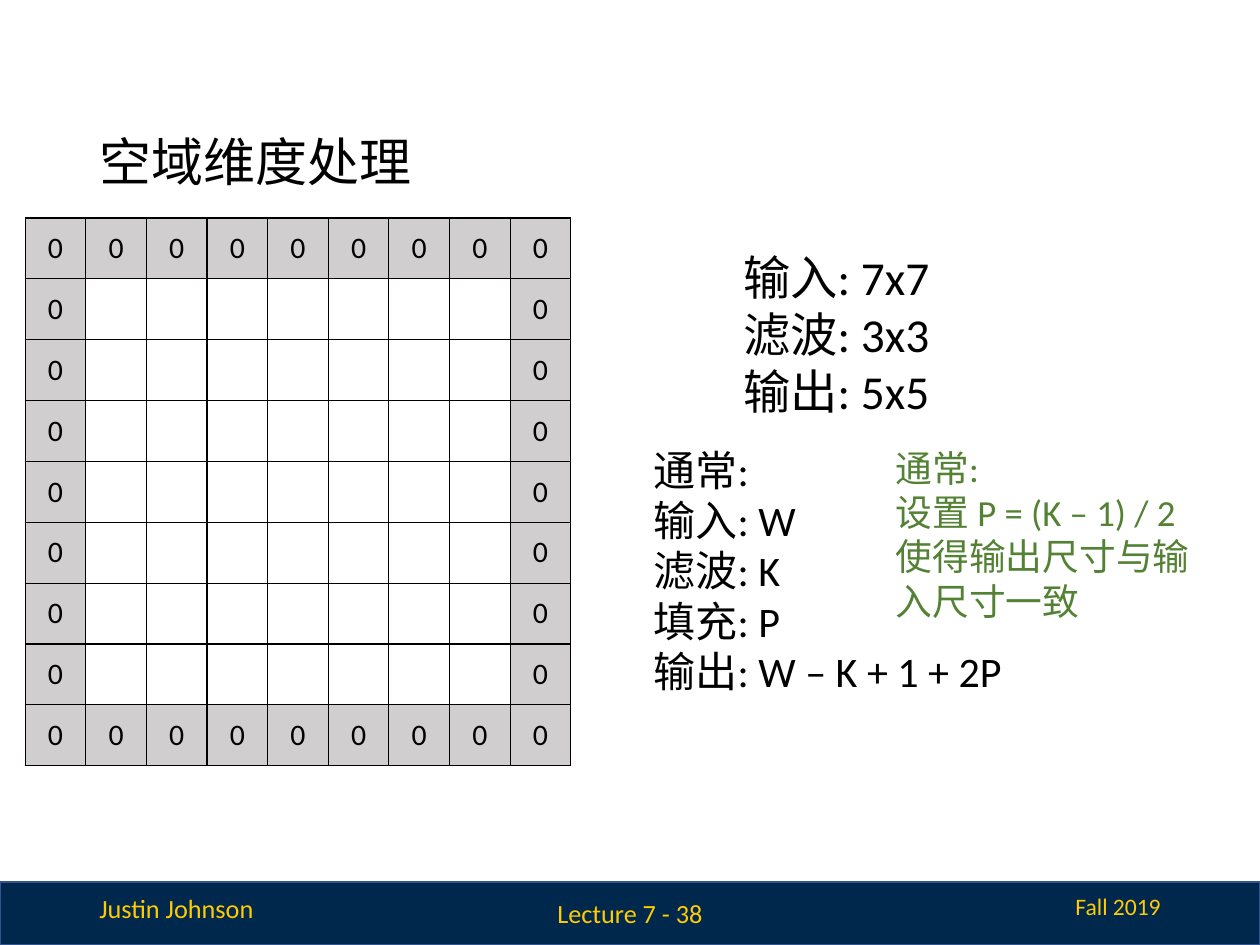
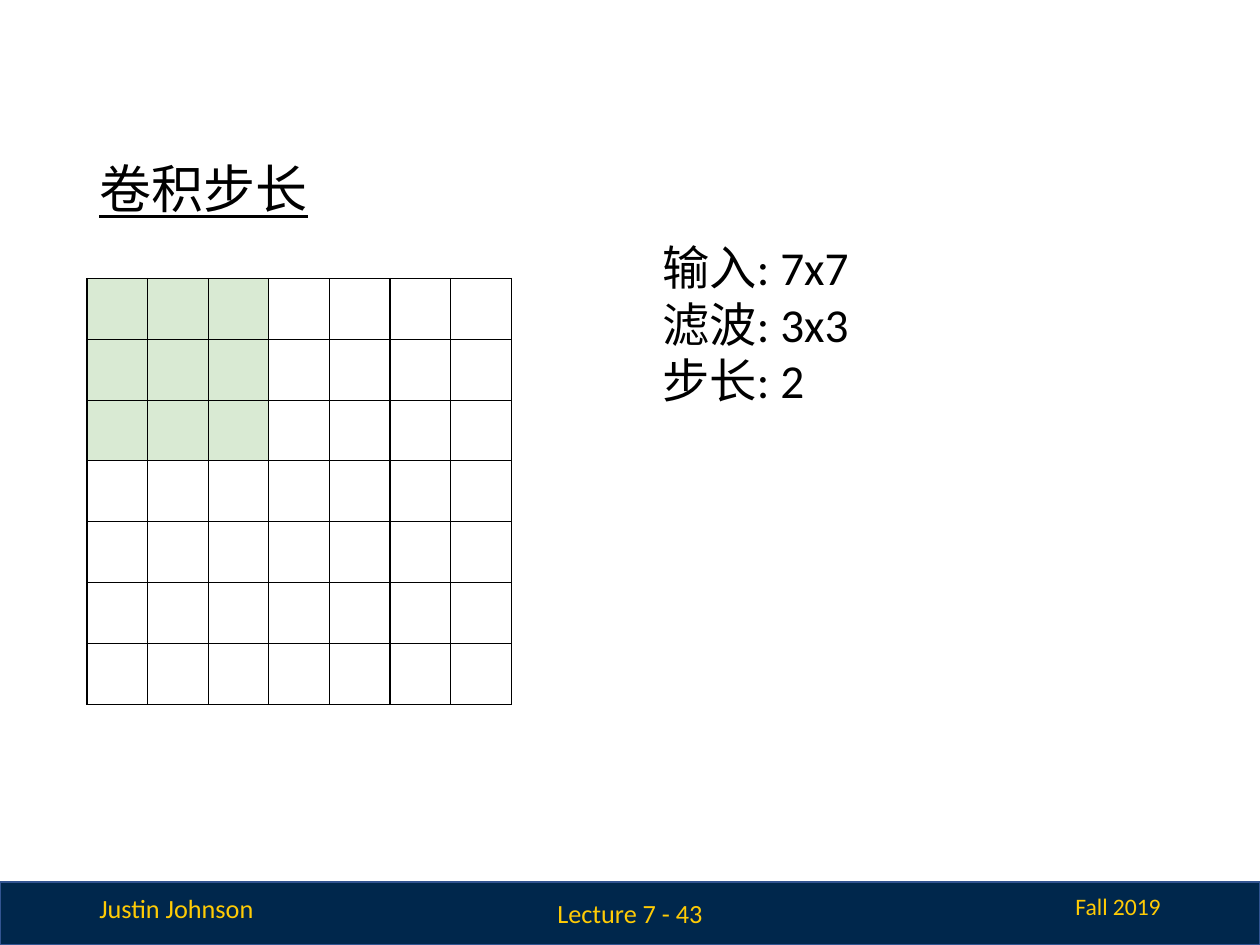
import lxml.etree
import pptx
import pptx.dml.color
import pptx.enum.shapes
import pptx.enum.text
import pptx.oxml.ns
import pptx.util

Inches = pptx.util.Inches
Align = pptx.enum.text.PP_ALIGN
Anchor = pptx.enum.text.MSO_ANCHOR

COLORS = {
    "ink": "000000",
    "band": "00274C",
    "band_edge": "325491",
    "maize": "FFCB05",
    "note": "548235",
    "padding": "D0CECE",
    "filter": "D9EAD3",
}
FONT = "Calibri"


def rgb(name):
    return pptx.dml.color.RGBColor.from_string(COLORS[name])


def write_text(frame, text, size, color="ink", align=Align.LEFT,
               anchor=Anchor.TOP, line_spacing=None, underline=None):
    frame.vertical_anchor = anchor
    for index, line in enumerate(text.split("\n")):
        paragraph = frame.paragraphs[0] if index == 0 else frame.add_paragraph()
        paragraph.alignment = align
        paragraph.line_spacing = line_spacing
        run = paragraph.add_run()
        run.text = line
        run.font.name = FONT
        run.font.size = pptx.util.Pt(size)
        run.font.color.rgb = rgb(color)
        run.font.underline = underline


def add_text(slide, left, top, width, height, text, size, inset=0.05, **text_format):
    shape = slide.shapes.add_textbox(
        Inches(left), Inches(top), Inches(width), Inches(height))
    frame = shape.text_frame
    frame.word_wrap = True
    frame.margin_left = frame.margin_right = Inches(0.1)
    frame.margin_top = frame.margin_bottom = Inches(inset)
    write_text(frame, text, size, **text_format)


def add_title(slide, top, text, **text_format):
    add_text(slide, 0.69, top, 6.32, 0.56, text, 29.7,
             anchor=Anchor.MIDDLE, line_spacing=0.9, **text_format)


def add_footer(slide, number):
    band = slide.shapes.add_shape(
        pptx.enum.shapes.MSO_SHAPE.RECTANGLE, 0, Inches(7), Inches(10), Inches(0.5))
    band.shadow.inherit = False
    band.fill.solid()
    band.fill.fore_color.rgb = rgb("band")
    band.line.color.rgb = rgb("band_edge")
    band.line.width = pptx.util.Pt(1)
    add_text(slide, 0.69, 7.03, 1.7, 0.35, "Justin Johnson", 15, color="maize")
    add_text(slide, 7.33, 7.03, 1.98, 0.33, "Fall 2019", 13.5,
             color="maize", align=Align.RIGHT)
    add_text(slide, 3.65, 7.05, 2.7, 0.4, f"Lecture 7 - {number}", 15,
             color="maize", align=Align.CENTER, anchor=Anchor.MIDDLE)


def set_borders(cell):
    properties = cell._tc.get_or_add_tcPr()
    qn = pptx.oxml.ns.qn
    for position, side in enumerate(("a:lnL", "a:lnR", "a:lnT", "a:lnB")):
        border = lxml.etree.Element(qn(side), w=str(pptx.util.Pt(0.75)))
        fill = lxml.etree.SubElement(border, qn("a:solidFill"))
        lxml.etree.SubElement(fill, qn("a:srgbClr"), val=COLORS["ink"])
        properties.insert(position, border)


def add_grid(slide, left, top, width, height, count, shade, is_shaded, label=None):
    table = slide.shapes.add_table(
        count, count, Inches(left), Inches(top), Inches(width), Inches(height)).table
    table.first_row = False
    table.horz_banding = False
    for index in range(count):
        table.columns[index].width = Inches(width / count)
        table.rows[index].height = Inches(height / count)
    for row in range(count):
        for column in range(count):
            cell = table.cell(row, column)
            set_borders(cell)
            if not is_shaded(row, column):
                cell.fill.background()
                continue
            cell.fill.solid()
            cell.fill.fore_color.rgb = rgb(shade)
            if label:
                cell.margin_left = cell.margin_right = Inches(0.1)
                cell.margin_top = cell.margin_bottom = Inches(0.09)
                cell.vertical_anchor = Anchor.MIDDLE
                write_text(cell.text_frame, label, 17,
                           align=Align.CENTER, anchor=Anchor.MIDDLE)


def add_slide(presentation, number):
    slide = presentation.slides.add_slide(presentation.slide_layouts[6])
    add_footer(slide, number)
    return slide


def build_padding_slide(presentation):
    slide = add_slide(presentation, 38)
    count = 9
    edges = (0, count - 1)
    add_grid(slide, 0.2, 1.73, 4.33, 4.35, count, "padding",
             lambda row, column: row in edges or column in edges, label="0")
    add_title(slide, 1.03, "空域维度处理")
    add_text(slide, 5.8, 1.87, 2.16, 1.49,
             "输入: 7x7\n滤波: 3x3\n输出: 5x5", 27, inset=0.1)
    add_text(slide, 5.09, 3.49, 4.23, 2.07,
             "通常:\n输入: W\n滤波: K\n填充: P\n输出: W – K + 1 + 2P", 24,
             inset=0.1, anchor=Anchor.MIDDLE)
    add_text(slide, 7.01, 3.49, 2.76, 1.51,
             "通常:\n设置 P = (K – 1) / 2 使得输出尺寸与输入尺寸一致", 21, color="note")


def build_stride_slide(presentation):
    slide = add_slide(presentation, 43)
    filter_size = 3
    add_title(slide, 1.24, "卷积步长", underline=True)
    add_grid(slide, 0.69, 2.21, 3.37, 3.38, 7, "filter",
             lambda row, column: max(row, column) < filter_size)
    add_text(slide, 5.16, 1.79, 1.93, 1.48,
             "输入: 7x7\n滤波: 3x3\n步长: 2", 27, inset=0.1)


def main():
    presentation = pptx.Presentation()
    presentation.slide_width = Inches(10)
    presentation.slide_height = Inches(7.5)
    build_padding_slide(presentation)
    build_stride_slide(presentation)
    presentation.save("out.pptx")


if __name__ == "__main__":
    main()
